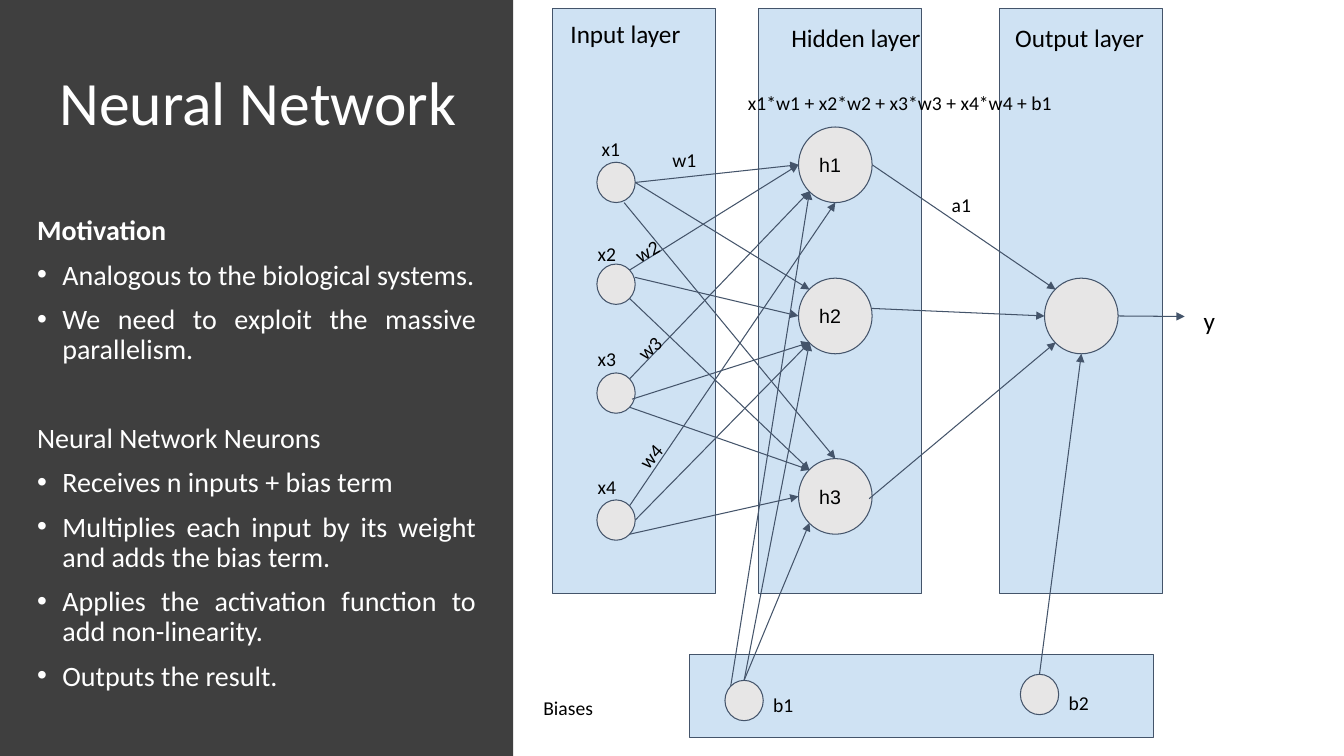
from lxml import etree
from pptx import Presentation
from pptx import util as u
from pptx.dml.color import RGBColor
from pptx.enum import shapes, text
from pptx.oxml import ns

COLUMNS, ROWS = 133.3, 75
TOP, BOTTOM, LEFT, RIGHT = (0.5, 0), (0.5, 1), (0, 0.5), (1, 0.5)
NEAR, FAR = 0.15, 0.85
TOP_LEFT, TOP_RIGHT = (NEAR, NEAR), (FAR, NEAR)
BOTTOM_LEFT, BOTTOM_RIGHT = (NEAR, FAR), (FAR, FAR)


def rgb(value):
    """Turn a hex string into a colour."""
    return RGBColor.from_string(value)


class Diagram:
    """Hold the slide, its grid and the style of its elements."""

    ink, paper, panel, band_blue, node_grey, edge = (
        "000000", "FFFFFF", "3F3F3F", "CFE2F3", "E7E6E6", "44546A")
    font = "Calibri"

    def __init__(self, deck):
        """Add a title-only slide and measure its grid."""
        self.slide = deck.slides.add_slide(deck.slide_layouts[5])
        self.column = deck.slide_width / COLUMNS
        self.row = deck.slide_height / ROWS

    def box(self, left, top, width, height):
        """Give the place of a grid area."""
        return (round(left * self.column), round(top * self.row),
                round(width * self.column), round(height * self.row))

    def add_words(self, paragraph, words, size, color, font=None, bold=False):
        """Add one styled run."""
        run = paragraph.add_run()
        run.text = words
        run.font.name = font or self.font
        run.font.size = u.Pt(size)
        run.font.bold = bold
        run.font.color.rgb = rgb(color)

    def inset(self, frame, vertical=0.1):
        """Set wrapping and the margins of a text frame."""
        frame.word_wrap = True
        frame.auto_size = text.MSO_AUTO_SIZE.NONE
        frame.margin_left = frame.margin_right = u.Inches(0.1)
        frame.margin_top = frame.margin_bottom = u.Inches(vertical)

    def title(self, words, *place):
        """Place the title in front of the panel."""
        title = self.slide.shapes.title
        title.left, title.top, title.width, title.height = self.box(*place)
        title.element.getparent().append(title.element)
        frame = title.text_frame
        self.inset(frame, 0.05)
        frame.vertical_anchor = text.MSO_ANCHOR.MIDDLE
        paragraph = frame.paragraphs[0]
        paragraph.alignment = text.PP_ALIGN.LEFT
        paragraph.line_spacing = 0.9
        self.add_words(paragraph, words, 44, self.paper)

    def shape(self, kind, fill, place, outlined=True):
        """Add a flat filled shape."""
        shape = self.slide.shapes.add_shape(kind, *self.box(*place))
        shape.shadow.inherit = False
        shape.fill.solid()
        shape.fill.fore_color.rgb = rgb(fill)
        if outlined:
            shape.line.color.rgb = rgb(self.edge)
            shape.line.width = u.Pt(0.75)
        else:
            shape.line.fill.background()
        return shape

    def band(self, *place):
        """Add the background of a layer."""
        self.shape(shapes.MSO_SHAPE.RECTANGLE, self.band_blue, place)

    def side_panel(self, *place):
        """Add the dark panel behind the text."""
        self.shape(shapes.MSO_SHAPE.RECTANGLE, self.panel, place, outlined=False)

    def node(self, *place, name=None):
        """Add a neuron and return its place."""
        neuron = self.shape(shapes.MSO_SHAPE.OVAL, self.node_grey, place)
        if name:
            frame = neuron.text_frame
            self.inset(frame)
            frame.vertical_anchor = text.MSO_ANCHOR.MIDDLE
            frame.paragraphs[0].alignment = text.PP_ALIGN.LEFT
            self.add_words(frame.paragraphs[0], name, 14, self.ink, "Arial")
        return place

    def label(self, words, *place, size=14, turn=0):
        """Add a caption, turned if needed."""
        caption = self.slide.shapes.add_textbox(*self.box(*place))
        caption.rotation = turn
        self.inset(caption.text_frame)
        self.add_words(caption.text_frame.paragraphs[0], words, size, self.ink)

    def arrow(self, start, start_site, end, end_site):
        """Draw an arrow between sites given as shares of two areas."""
        points = []
        for (left, top, width, height), (across, down) in (
                (start, start_site), (end, end_site)):
            points += self.box(left + across * width, top + down * height, 0, 0)[:2]
        link = self.slide.shapes.add_connector(shapes.MSO_CONNECTOR.STRAIGHT, *points)
        link.line.color.rgb = rgb(self.edge)
        link.line.width = u.Pt(0.75)
        properties = link.element.spPr
        etree.SubElement(properties.get_or_add_ln(), ns.qn("a:tailEnd"), type="triangle")
        etree.SubElement(properties, ns.qn("a:effectLst"))

    def sections(self, topics, *place):
        """Add headings with bulleted points."""
        frame = self.slide.shapes.add_textbox(*self.box(*place)).text_frame
        self.inset(frame, 0.05)
        for heading, bold, gap, points in topics:
            first = frame.paragraphs[0] if gap == 0 else frame.add_paragraph()
            self.passage(first, heading, gap, bold)
            for point in points:
                self.passage(frame.add_paragraph(), point, 10, bullet=True)

    def passage(self, paragraph, words, gap, bold=False, bullet=False):
        """Format one justified paragraph."""
        paragraph.alignment = text.PP_ALIGN.JUSTIFY
        paragraph.line_spacing = 0.9
        paragraph.space_before = u.Pt(gap)
        if bullet:
            properties = paragraph._p.get_or_add_pPr()
            properties.set("marL", str(u.Inches(0.25)))
            properties.set("indent", str(-u.Inches(0.25)))
            tint = etree.SubElement(properties, ns.qn("a:buClr"))
            etree.SubElement(tint, ns.qn("a:srgbClr"), val=self.paper)
            etree.SubElement(properties, ns.qn("a:buFont"), typeface="Arial")
            etree.SubElement(properties, ns.qn("a:buChar"), char="•")
        self.add_words(paragraph, words, 20, self.paper, bold=bold)


def main():
    """Build the neural network slide."""
    deck = Presentation()
    deck.slide_width, deck.slide_height = u.Inches(13.33), u.Inches(7.5)
    net = Diagram(deck)

    net.band(68.4, 64.9, 46, 8.3)
    for left in (99.1, 75.2, 54.8):
        net.band(left, 0.8, 16.2, 58.1)
    net.side_panel(0, 0, 50.9, ROWS)
    net.sections([
        ("Motivation", True, 0, [
            "Analogous to the biological systems.",
            "We need to exploit the massive parallelism."]),
        ("Neural Network Neurons", False, 42, [
            "Receives n inputs + bias term",
            "Multiplies each input by its weight and adds the bias term.",
            "Applies the activation function to add non-linearity.",
            "Outputs the result."]),
    ], 2.7, 21, 45.5, 48.8)
    net.title("Neural Network", 4.9, 3.2, 43.3, 14.5)

    x1, x2, x3, x4 = [net.node(59.2, top, 3.8, 4) for top in (16.1, 26.2, 37, 49.6)]
    h1, h2, h3 = [net.node(79.2, top, 7.3, 7.5, name=f"h{number}")
                  for number, top in enumerate((12.6, 27.6, 45.5), 1)]
    output = net.node(103.6, 27.6, 7.3, 7.5)
    b1, b2 = net.node(71.9, 67.5, 3.8, 4), net.node(101.2, 66.9, 3.8, 4)
    result = (117.5, 31.4, 0, 0)

    for link in [
        (x1, RIGHT, h1, LEFT), (x1, RIGHT, h2, TOP_LEFT), (x1, (0.71, 1), h3, TOP),
        (x2, TOP_RIGHT, h1, LEFT), (x2, (1, 0.33), h2, LEFT),
        (x2, BOTTOM_RIGHT, h3, TOP_LEFT),
        (x3, TOP_RIGHT, h1, BOTTOM_LEFT), (x3, (0.92, 0.65), h2, BOTTOM_LEFT),
        (x3, BOTTOM_RIGHT, h3, TOP_LEFT),
        (x4, TOP_RIGHT, h1, BOTTOM), (x4, RIGHT, h2, BOTTOM_LEFT),
        (x4, BOTTOM_RIGHT, h3, LEFT),
        (b1, TOP_LEFT, h1, BOTTOM_LEFT), (b1, TOP, h2, BOTTOM_LEFT),
        (b1, TOP, h3, BOTTOM_LEFT),
        (h1, RIGHT, output, TOP_LEFT), (h2, (1, 0.4), output, LEFT),
        (h3, (0.96, 0.53), output, BOTTOM_LEFT), (b2, TOP, output, BOTTOM),
        (output, RIGHT, result, LEFT),
    ]:
        net.arrow(*link)

    for layer, left, top in (("Input", 55.6, 0.8), ("Hidden", 77.5, 1.2),
                             ("Output", 99.7, 1.2)):
        net.label(f"{layer} layer", left, top, 15, 6.2, size=18)
    for name, left, top in (("x1", 58.7, 12.6), ("x2", 58.3, 23), ("x3", 58.3, 33.4),
                            ("x4", 58.3, 46.1), ("b1", 75.7, 67.7), ("b2", 105, 67.5),
                            ("a1", 93.4, 18.1)):
        net.label(name, left, top, 4.7, 2.9)
    for name, left, top, turn in (("w1", 65.7, 13.8, 0), ("w2", 61.4, 22.9, 331),
                                  ("w3", 61.4, 32.7, 317.8), ("w4", 61.4, 43.5, 311.4)):
        net.label(name, left, top, 4.7, 1.7, turn=turn)
    net.label("x1*w1 + x2*w2 + x3*w3 + x4*w4 + b1", 73.2, 8, 35.5, 4.1)
    net.label("Biases", 52.9, 68, 10.8, 4)
    net.label("y", 118.4, 29.3, 4.2, 4, size=18)
    deck.save("out.pptx")


if __name__ == "__main__":
    main()
